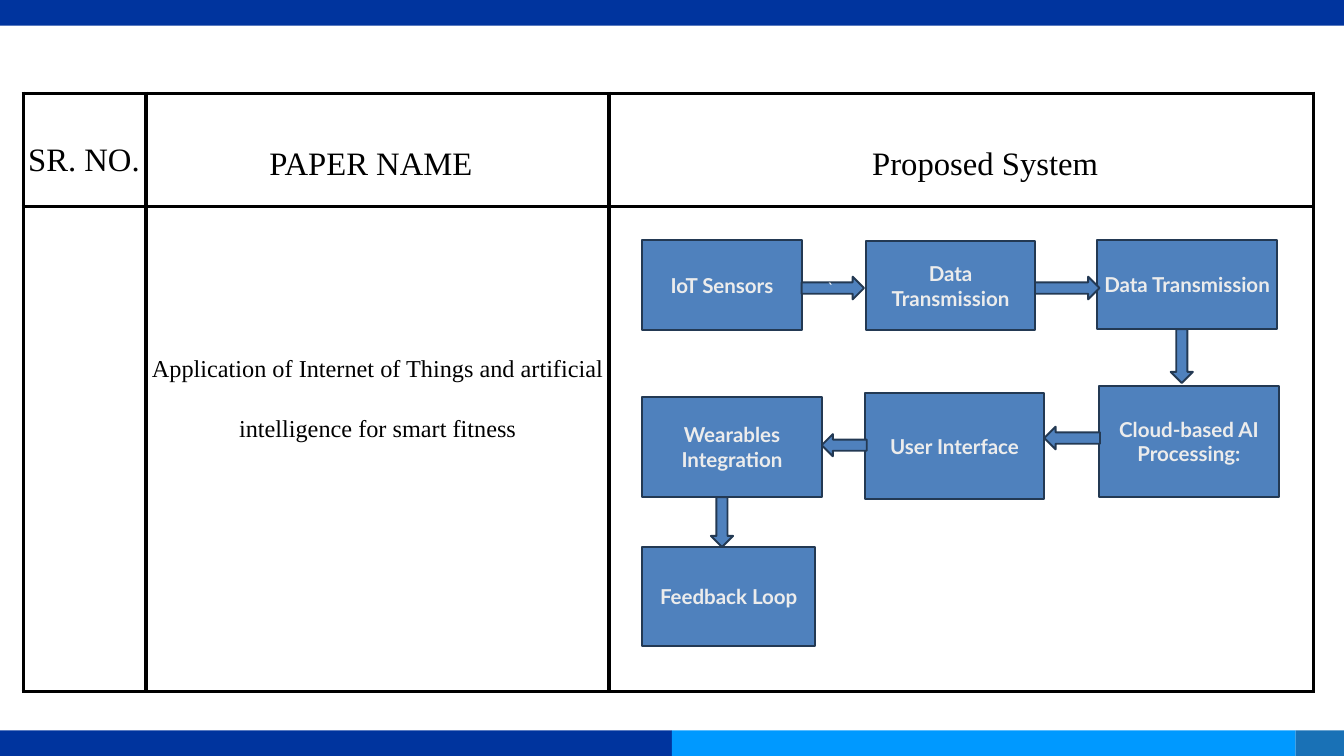
from lxml.etree import SubElement
from pptx import Presentation
from pptx.dml.color import RGBColor
from pptx.enum.shapes import MSO_SHAPE as Shape
from pptx.enum.text import MSO_ANCHOR as Anchor, PP_ALIGN as Align
from pptx.oxml.ns import qn
from pptx.util import Cm, Pt


def paint(fill, color):
    fill.solid()
    fill.fore_color.rgb = RGBColor.from_string(color)


def write(frame, text, font, size, color, bold=False):
    """Fill a text frame with one centred paragraph and return it."""
    frame.word_wrap = True
    frame.text = text
    paragraph = frame.paragraphs[0]
    paragraph.alignment = Align.CENTER
    run_font = paragraph.runs[0].font
    run_font.name, run_font.size, run_font.bold = font, Pt(size), bold
    paint(run_font.fill, color)
    return paragraph


prs = Presentation()
prs.slide_width, prs.slide_height = Cm(50.8), Cm(28.58)
slide = prs.slides.add_slide(prs.slide_layouts[6])
shapes = slide.shapes

# Bars along the top and bottom edges
for left, top, width, color in [
    (0, 27.61, 25.4, "00349E"),
    (25.4, 27.61, 23.57, "0099FF"),
    (48.97, 27.61, 1.83, "1971B6"),
    (0, 0, 50.8, "00349E"),
]:
    bar = shapes.add_shape(Shape.RECTANGLE, Cm(left), Cm(top), Cm(width), Cm(0.97))
    bar.shadow.inherit = False
    paint(bar.fill, color)
    bar.line.fill.background()

# Paper grid
grid = shapes.add_table(2, 3, Cm(0.89), Cm(3.53), Cm(48.76), Cm(22.61)).table
for column, width in zip(grid.columns, (4.62, 17.5, 26.64)):
    column.width = Cm(width)
for row, height in zip(grid.rows, (4.27, 18.34)):
    row.height = Cm(height)
for cell in grid.iter_cells():
    properties = cell._tc.get_or_add_tcPr()
    for side in ("a:lnL", "a:lnR", "a:lnT", "a:lnB"):
        border = SubElement(properties, qn(side), w=str(Pt(4.4)))
        border_fill = SubElement(border, qn("a:solidFill"))
        SubElement(border_fill, qn("a:srgbClr"), val="000000")
    cell.fill.background()

# Headings and paper title over the grid
paper = "Application of Internet of Things and artificial intelligence for smart fitness"
for text, left, top, width, height, size, spacing in [
    ("SR. NO.", 0.89, 4.95, 4.57, 1.63, 35, 50.2),
    ("PAPER NAME", 9.63, 4.42, 8.79, 2.16, 35, 69.7),
    ("Proposed System", 29.67, 4.42, 15.14, 2.16, 35, 69.7),
    (paper, 5.72, 12.19, 17.12, 4.22, 26, 64.2),
]:
    frame = shapes.add_textbox(Cm(left), Cm(top), Cm(width), Cm(height)).text_frame
    frame.margin_left = frame.margin_right = frame.margin_top = frame.margin_bottom = 0
    write(frame, text, "Times New Roman", size, "000000").line_spacing = Pt(spacing)

# Flow of the proposed system: steps first, then the arrows between them
steps = [
    ("IoT Sensors", 24.28, 9.09, 6.02, 3.38),
    ("Data Transmission", 32.74, 9.12, 6.38, 3.35),
    ("Data Transmission", 41.48, 9.09, 6.78, 3.35),
    ("Cloud-based AI Processing:", 41.55, 14.58, 6.78, 4.22),
    ("User Interface", 32.69, 14.86, 6.78, 3.99),
    ("Wearables Integration", 24.28, 15.01, 6.78, 3.78),
    ("Feedback Loop", 24.28, 20.68, 6.53, 3.73),
]
arrows = [
    (Shape.RIGHT_ARROW, "`", 30.3, 10.46, 2.36, 0.86),
    (Shape.RIGHT_ARROW, "", 39.12, 10.46, 2.44, 0.86),
    (Shape.DOWN_ARROW, "", 44.25, 12.45, 0.84, 2.03),
    (Shape.LEFT_ARROW, "", 39.47, 16.13, 2.11, 0.86),
    (Shape.LEFT_ARROW, "", 31.06, 16.41, 1.7, 0.84),
    (Shape.DOWN_ARROW, "", 26.87, 18.8, 0.84, 1.88),
]
for kind, text, left, top, width, height in [(Shape.RECTANGLE, *s) for s in steps] + arrows:
    part = shapes.add_shape(kind, Cm(left), Cm(top), Cm(width), Cm(height))
    part.shadow.inherit = False
    paint(part.fill, "4F81BD")
    paint(part.line.fill, "233953")
    part.line.width = Pt(2)
    part.text_frame.vertical_anchor = Anchor.MIDDLE
    if kind == Shape.RECTANGLE:
        write(part.text_frame, text, "Lato", 22, "ECECEC", bold=True)
    elif text:
        write(part.text_frame, text, "Calibri", 18, "FFFFFF")

prs.save("out.pptx")
